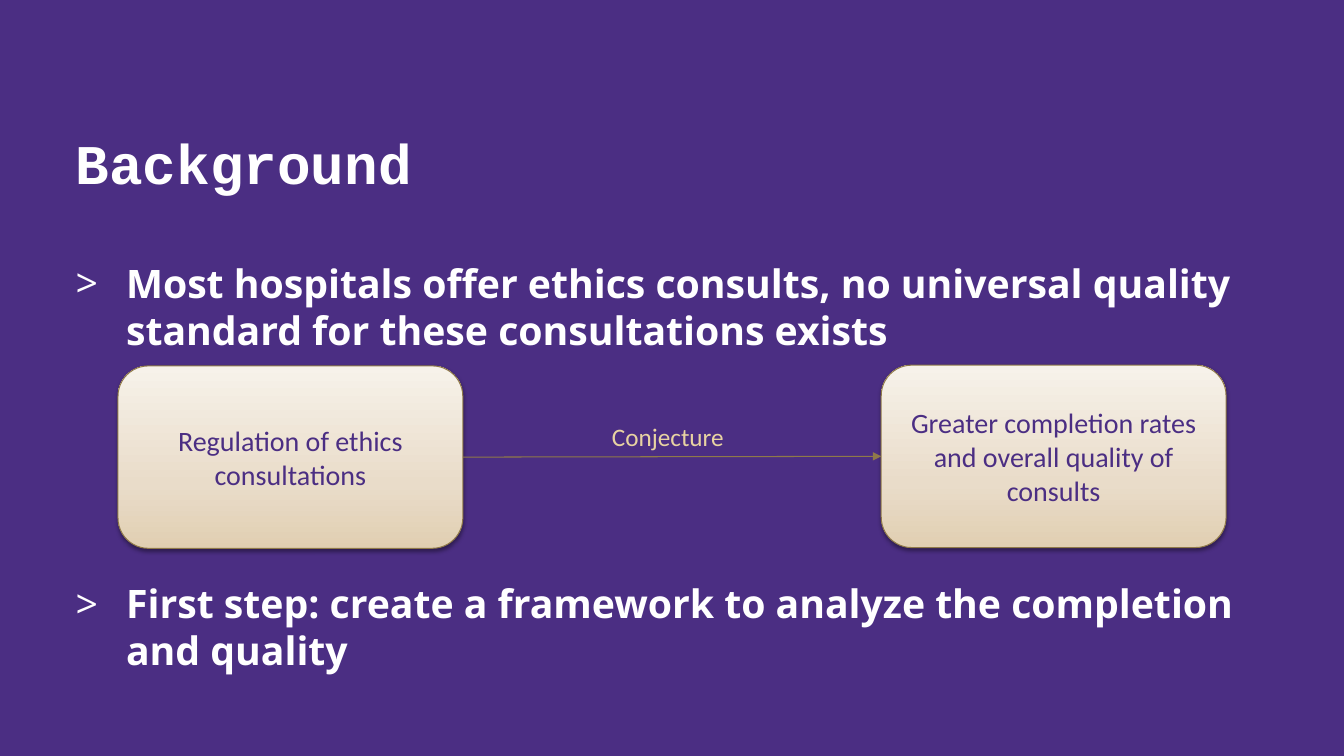
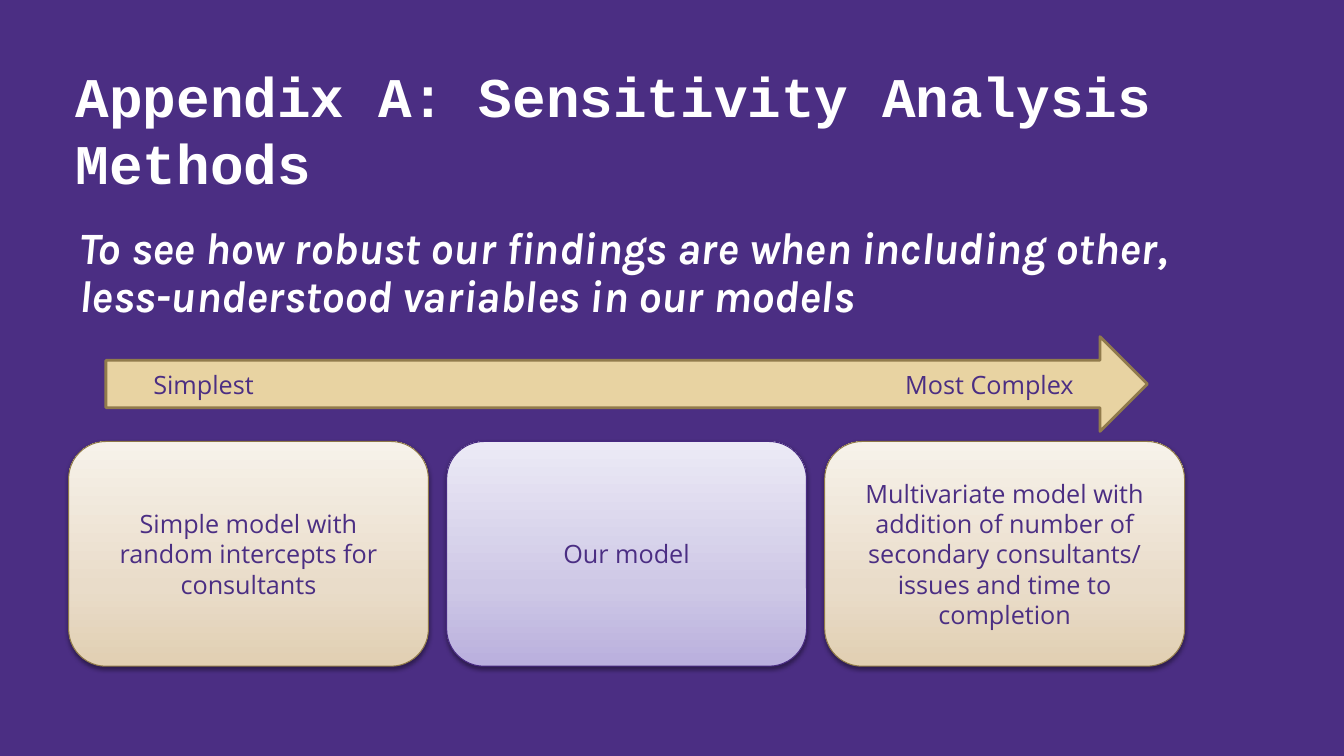
import copy

import lxml.etree
import pptx
import pptx.dml.color
import pptx.enum.shapes
import pptx.enum.text
import pptx.oxml.ns
import pptx.util

RGBColor = pptx.dml.color.RGBColor
PURPLE = RGBColor(0x4B, 0x2E, 0x83)
WHITE = RGBColor(0xFF, 0xFF, 0xFF)
GOLD = RGBColor(0xE8, 0xD3, 0xA2)
BRONZE = RGBColor(0x8F, 0x79, 0x49)
ARROW_EDGE = RGBColor(0x91, 0x7B, 0x4C)
VIOLET = RGBColor(0x49, 0x2B, 0x82)
SAND_SHADES = [RGBColor(0xE1, 0xCF, 0xB2), RGBColor(0xE9, 0xDC, 0xC9), RGBColor(0xF7, 0xF2, 0xEA)]
LILAC_SHADES = [RGBColor(0xB9, 0xAF, 0xDD), RGBColor(0xCE, 0xC8, 0xE6), RGBColor(0xEC, 0xEA, 0xF6)]
SHADE_POSITIONS = [0, 0.35, 1]

LEFT = pptx.enum.text.PP_ALIGN.LEFT
CENTER = pptx.enum.text.PP_ALIGN.CENTER
MIDDLE = pptx.enum.text.MSO_ANCHOR.MIDDLE
SHAPES = pptx.enum.shapes.MSO_SHAPE
Inches, Pt = pptx.util.Inches, pptx.util.Pt
qn = pptx.oxml.ns.qn

TITLE = {"name": "Courier New", "size": Pt(40), "bold": True}
LIST = {"name": "Open Sans", "size": Pt(28), "bold": True}
SUBTITLE = {"name": "Karla", "size": Pt(32), "bold": True, "italic": True}
DIAGRAM = {"name": "Calibri", "size": Pt(20)}
LABEL = {"name": "Calibri", "size": Pt(18)}
MODEL = {"name": "Open Sans", "size": Pt(18)}

presentation = pptx.Presentation()
presentation.slide_width = Inches(13.33)
presentation.slide_height = Inches(7.5)


def area(left, top, width, height):
    """Turn percentages of the slide into a box of lengths."""
    across, down = presentation.slide_width / 100, presentation.slide_height / 100
    return [round(value) for value in (left * across, top * down, width * across, height * down)]


def write(shape, lines, font_format, color, alignment=LEFT):
    """Fill a shape with one formatted paragraph per line."""
    frame = shape.text_frame
    frame.word_wrap = True
    frame.auto_size = pptx.enum.text.MSO_AUTO_SIZE.NONE
    frame.text = "\n".join(lines)
    for paragraph in frame.paragraphs:
        paragraph.alignment = alignment
        font = paragraph.runs[0].font
        font.color.rgb = color
        for name, value in font_format.items():
            setattr(font, name, value)


# Shared background and title place
master = presentation.slide_master
master.background.fill.solid()
master.background.fill.fore_color.rgb = PURPLE
master_title = master.placeholders[0]
master_title.left, master_title.top, master_title.width, master_title.height = area(4.88, 7.2, 89.65, 19.33)
master_title.text_frame.vertical_anchor = pptx.enum.text.MSO_ANCHOR.BOTTOM

slides = []
for layout_name, title in [
    ("Two Content", "Background"),
    ("Title and Content", "Appendix A: Sensitivity Analysis Methods"),
]:
    slide = presentation.slides.add_slide(presentation.slide_layouts.get_by_name(layout_name))
    write(slide.shapes.title, [title], TITLE, WHITE)
    slides.append(slide)
background, appendix = slides

# Body texts
for body, box, text, font_format, bullet in [
    (background.placeholders[1], area(4.88, 33.6, 89.65, 14.67),
     "Most hospitals offer ethics consults, no universal quality standard for these consultations exists",
     LIST, ">"),
    (background.placeholders[2], area(4.88, 76, 89.65, 14.67),
     "First step: create a framework to analyze the completion and quality", LIST, ">"),
    (appendix.placeholders[1], area(5.18, 29.2, 89.42, 14.13),
     "To see how robust our findings are when including other, less-understood variables in our models",
     SUBTITLE, None),
]:
    body.left, body.top, body.width, body.height = box
    write(body, [text], font_format, WHITE)
    paragraph = body.text_frame.paragraphs[0]
    properties = paragraph._p.get_or_add_pPr()
    indent = Inches(0.5) if bullet else 0
    properties.set("marL", str(indent))
    properties.set("indent", str(-indent))
    if bullet:
        lxml.etree.SubElement(properties, qn("a:buFont")).set("typeface", "Open Sans")
        lxml.etree.SubElement(properties, qn("a:buChar")).set("char", bullet)
    else:
        paragraph.line_spacing = 0.9
        lxml.etree.SubElement(properties, qn("a:buNone"))

# Cards of both slides
model_boxes = [area(5.1 + 28.13 * column, 58.4, 26.78, 29.73) for column in range(3)]
cards = []
for slide, box, lines, font_format, shades, edge in [
    (background, area(8.78, 48.4, 25.66, 24.13), ["Regulation of ethics consultations"],
     DIAGRAM, SAND_SHADES, BRONZE),
    (background, area(65.57, 48.3, 25.66, 24.13), ["Greater completion rates and overall quality of consults"],
     DIAGRAM, SAND_SHADES, BRONZE),
    (appendix, model_boxes[0], ["Simple model with random intercepts for consultants"],
     MODEL, SAND_SHADES, BRONZE),
    (appendix, model_boxes[1], ["Our model"], MODEL, LILAC_SHADES, VIOLET),
    (appendix, model_boxes[2],
     ["Multivariate model with addition of number of secondary consultants/", "issues and time to completion"],
     MODEL, SAND_SHADES, BRONZE),
]:
    card = slide.shapes.add_shape(SHAPES.ROUNDED_RECTANGLE, *box)
    card.fill.gradient()
    card.fill.gradient_angle = 90
    stop_list = card._element.spPr.find(".//" + qn("a:gsLst"))
    stop_list.insert(1, copy.deepcopy(stop_list[0]))
    for stop, shade, position in zip(card.fill.gradient_stops, shades, SHADE_POSITIONS):
        stop.color.rgb = shade
        stop.position = position
    card.line.color.rgb = edge
    card.line.width = Pt(0.75)

    card.shadow.inherit = False
    shadow = lxml.etree.SubElement(card._element.spPr.find(qn("a:effectLst")), qn("a:outerShdw"))
    for name, value in {"blurRad": Pt(3.1), "dist": Pt(1.6), "dir": 90 * 60000, "rotWithShape": 0}.items():
        shadow.set(name, str(value))
    shadow_color = lxml.etree.SubElement(shadow, qn("a:srgbClr"), val="000000")
    lxml.etree.SubElement(shadow_color, qn("a:alpha"), val="38000")

    card.text_frame.margin_left = card.text_frame.margin_right = Inches(0.18)
    card.text_frame.vertical_anchor = MIDDLE
    write(card, lines, font_format, PURPLE, CENTER)
    cards.append(card)

# Labelled link between the two background cards
link = background.shapes.add_connector(pptx.enum.shapes.MSO_CONNECTOR.STRAIGHT, 0, 0, 0, 0)
link.begin_connect(cards[0], 3)
link.end_connect(cards[1], 1)
link.line.color.rgb = BRONZE
link.line.width = Pt(0.75)
link_properties = link._element.spPr
lxml.etree.SubElement(link_properties.find(qn("a:ln")), qn("a:tailEnd"), type="triangle")
lxml.etree.SubElement(link_properties, qn("a:effectLst"))
link_label = background.shapes.add_textbox(*area(44.79, 55.07, 9.98, 5.33))
write(link_label, ["Conjecture"], LABEL, GOLD)

# Complexity arrow, its second label set against a right tab stop
arrow = appendix.shapes.add_shape(SHAPES.RIGHT_ARROW, *area(7.88, 44.53, 77.49, 12.53))
arrow.shadow.inherit = False
arrow.fill.solid()
arrow.fill.fore_color.rgb = GOLD
arrow.line.color.rgb = ARROW_EDGE
arrow.line.width = Pt(2)
arrow.text_frame.margin_left = Inches(0.47)
arrow.text_frame.vertical_anchor = MIDDLE
write(arrow, ["Simplest\tMost Complex"], MODEL, PURPLE)
arrow_properties = arrow.text_frame.paragraphs[0]._p.get_or_add_pPr()
tab_list = lxml.etree.SubElement(arrow_properties, qn("a:tabLst"))
lxml.etree.SubElement(tab_list, qn("a:tab"), pos=str(Inches(9.13)), algn="r")

presentation.save("out.pptx")
